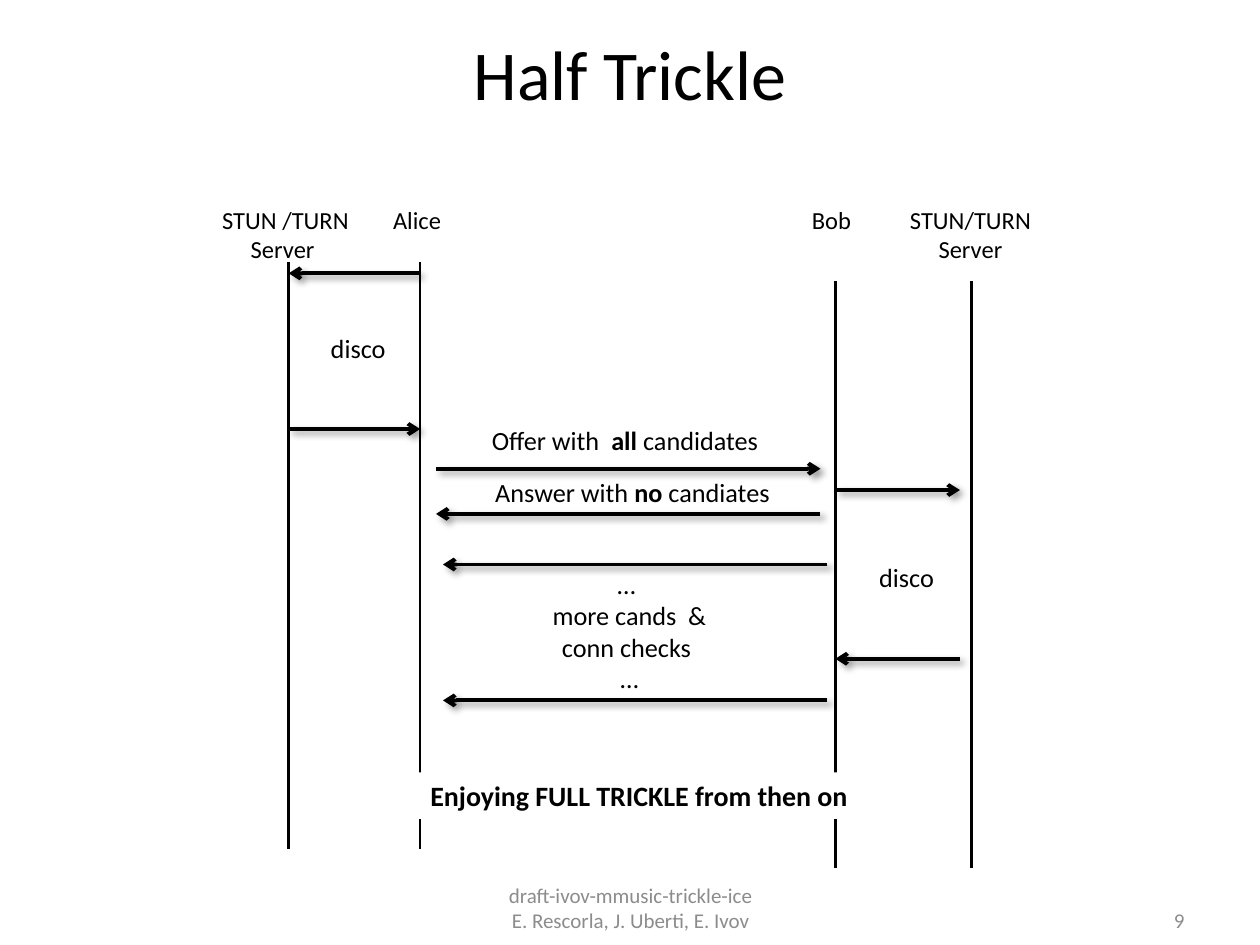
import lxml.etree
import pptx
import pptx.dml.color
import pptx.enum.shapes
import pptx.enum.text
import pptx.oxml.ns
import pptx.util

Cm = pptx.util.Cm
qn = pptx.oxml.ns.qn
ALIGN = pptx.enum.text.PP_ALIGN
ANCHOR = pptx.enum.text.MSO_ANCHOR

COLORS = {"ink": "000000", "muted": "8C8C8C", "paper": "FFFFFF"}
FONT = "Calibri"


def rgb(name):
    return pptx.dml.color.RGBColor.from_string(COLORS[name])


def fill_text(shape, text, size, color="ink", align=ALIGN.CENTER, anchor=ANCHOR.TOP, bold=False):
    """Pieces between bars alternate between plain and bold."""
    frame = shape.text_frame
    frame.word_wrap = True
    frame.vertical_anchor = anchor
    para = frame.paragraphs[0]
    para.alignment = align
    first, *others = text.split("|")
    para.text = first
    for number, piece in enumerate(others, 1):
        span = para.add_run()
        span.text = piece
        span.font.bold = number % 2 == 1
    for span in para.runs:
        span.font.name = FONT
        span.font.size = pptx.util.Pt(size)
        span.font.color.rgb = rgb(color)
        if bold:
            span.font.bold = True
    for line_break in para._p.findall(qn("a:br")):
        lxml.etree.SubElement(line_break, qn("a:rPr"), sz=str(size * 100))


def add_label(slide, box, text, size, **style):
    shape = slide.shapes.add_textbox(*(Cm(length) for length in box))
    fill_text(shape, text, size, **style)


def add_line(slide, start, end, width=1.5, arrow=False):
    line = slide.shapes.add_connector(
        pptx.enum.shapes.MSO_CONNECTOR.STRAIGHT, *(Cm(length) for length in (*start, *end)))
    line.line.color.rgb = rgb("ink")
    line.line.width = pptx.util.Pt(width)
    properties = line._element.spPr
    effects = lxml.etree.SubElement(properties, qn("a:effectLst"))
    if arrow:
        lxml.etree.SubElement(properties.find(qn("a:ln")), qn("a:tailEnd"), type="arrow")
        shadow = lxml.etree.SubElement(
            effects, qn("a:outerShdw"), blurRad=str(pptx.util.Pt(4)),
            dist=str(pptx.util.Pt(3)), dir="2700000", rotWithShape="0")
        tint = lxml.etree.SubElement(shadow, qn("a:srgbClr"), val=COLORS["ink"])
        lxml.etree.SubElement(tint, qn("a:alpha"), val="40000")


def add_message(slide, left, right, y, rightward):
    ends = [(left, y), (right, y)]
    start, end = ends if rightward else reversed(ends)
    add_line(slide, start, end, width=2.25, arrow=True)


def draw_title(slide, box):
    add_label(slide, box, "Half Trickle", 40, anchor=ANCHOR.MIDDLE)


def draw_footer(slide, box):
    left, top, width, height = box
    add_label(slide, (left, top, 8.05, height),
              "draft-ivov-mmusic-trickle-ice\nE. Rescorla, J. Uberti, E. Ivov",
              12, color="muted", anchor=ANCHOR.MIDDLE)
    add_label(slide, (left + width - 5.92, top + 0.25, 5.92, height), "9", 12,
              color="muted", align=ALIGN.RIGHT, anchor=ANCHOR.MIDDLE)


def draw_party(slide, box, head, names, disco, messages, reach):
    left, top, width, height = box
    for x in (left, left + width):
        add_line(slide, (x, top + head), (x, top + height))
    for text, x, label_width in names:
        add_label(slide, (left + x, top, label_width, 1.27), text, 14)
    x, y, label_width = disco
    add_label(slide, (left + x, top + y, label_width, 0.89), "disco", 15)
    for y, rightward in messages:
        add_message(slide, left, left + reach, top + y, rightward)


def draw_exchange(slide, box):
    left, top, width, height = box
    shift = 0.14
    reach = width - shift
    messages = [(0, 1.02, True), (0, 1.93, False), (shift, 2.95, False), (shift, height, False)]
    for x, y, rightward in messages:
        add_message(slide, left + x, left + x + reach, top + y, rightward)
    labels = [
        ("Offer with  |all |candidates", -1.6, 0, 10.82, 0.89),
        ("Answer with |no |candiates", -0.03, 1.04, 7.98, 0.89),
        ("… \nmore cands  &\nconn checks \n…", -0.76, 2.9, 9.32, 2.82),
    ]
    for text, x, y, label_width, label_height in labels:
        add_label(slide, (left + x, top + y, label_width, label_height), text, 15)


def draw_banner(slide, box):
    shape = slide.shapes.add_shape(
        pptx.enum.shapes.MSO_SHAPE.RECTANGLE, *(Cm(length) for length in box))
    shape.shadow.inherit = False
    shape.fill.solid()
    shape.fill.fore_color.rgb = rgb("paper")
    shape.line.fill.background()
    fill_text(shape, "Enjoying FULL TRICKLE from then on", 16, bold=True)


def main():
    deck = pptx.Presentation()
    deck.slide_width, deck.slide_height = Cm(25.4), Cm(19.05)
    slide = deck.slides.add_slide(deck.slide_layouts[6])
    draw_title(slide, (1.27, 0.2, 22.86, 2.54))
    draw_footer(slide, (8.69, 17.78, 15.44, 1.02))
    draw_party(slide, (16.84, 4.01, 2.74, 13.49), head=1.65,
               names=[("STUN/TURN \nServer ", 0.61, 4.34), ("Bob", -1.4, 2.64)],
               disco=(-0.28, 7.19, 3.43), messages=[(5.87, True), (9.27, False)], reach=2.51)
    draw_party(slide, (5.82, 4.01, 2.65, 13.11), head=1.27,
               names=[("STUN /TURN\nServer ", -2.01, 3.89), ("Alice", 1.27, 2.64)],
               disco=(-0.44, 2.57, 3.68), messages=[(1.5, False), (4.64, True)], reach=2.65)
    draw_exchange(slide, (8.79, 8.43, 7.89, 5.69))
    draw_banner(slide, (6.32, 15.57, 13.13, 0.94))
    deck.save("out.pptx")


if __name__ == "__main__":
    main()
